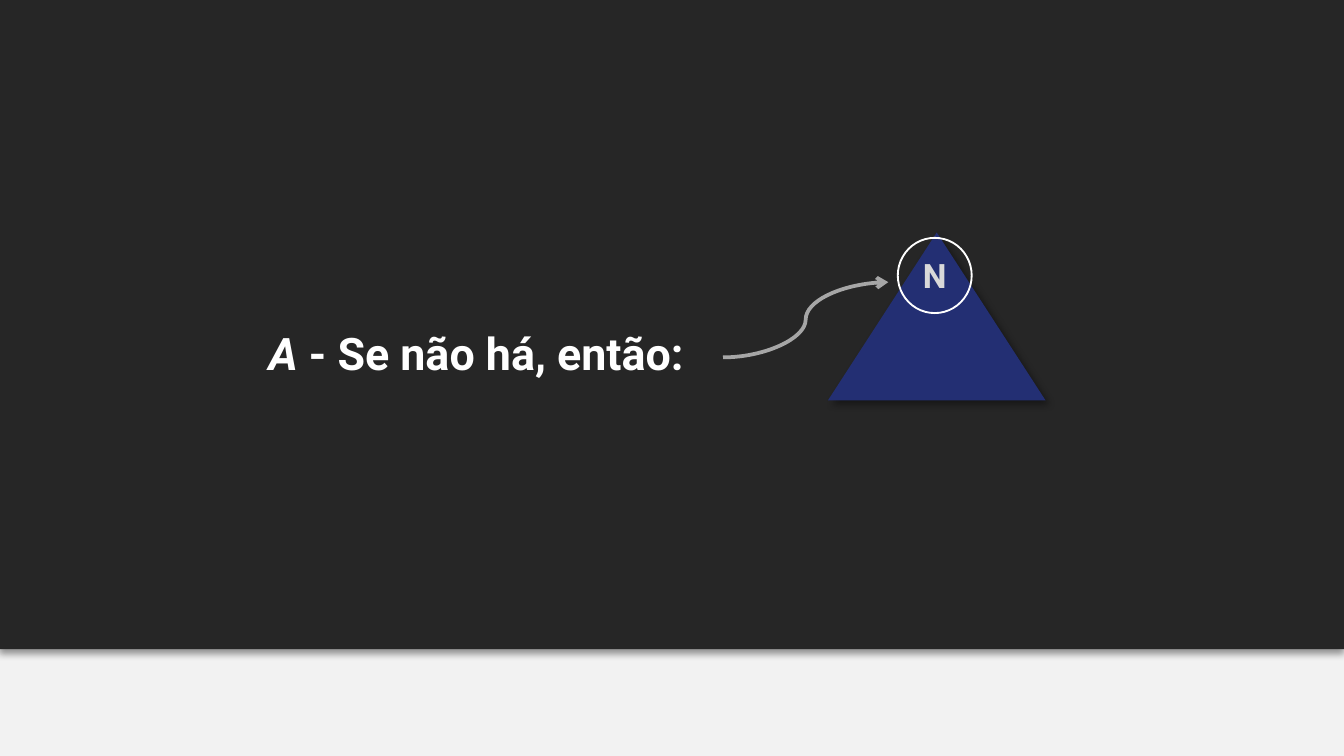
from dataclasses import dataclass

from lxml import etree
from pptx import Presentation
from pptx.dml.color import RGBColor
from pptx.enum.shapes import MSO_CONNECTOR, MSO_SHAPE
from pptx.enum.text import MSO_ANCHOR, PP_ALIGN
from pptx.oxml.ns import qn
from pptx.util import Inches, Pt

RECTANGLE = MSO_SHAPE.RECTANGLE
TRIANGLE = MSO_SHAPE.ISOSCELES_TRIANGLE
OVAL = MSO_SHAPE.OVAL
CURVE = MSO_CONNECTOR.CURVE
MIDDLE = MSO_ANCHOR.MIDDLE
CENTER = PP_ALIGN.CENTER
BLANK_LAYOUT = 6


@dataclass(frozen=True)
class Theme:
    font: str = "Roboto"
    background: str = "F2F2F2"
    panel: str = "262626"
    triangle: str = "232F73"
    white: str = "FFFFFF"
    letter: str = "D9D9D9"
    arrow: str = "A6A6A6"
    shadow: str = "000000"
    statement_size: int = 24
    letter_size: int = 18


THEME = Theme()


def color(value):
    return RGBColor.from_string(value)


def add_shadow(shape, angle):
    """Give the shape a soft outer shadow cast towards angle, in degrees."""
    effects = shape._element.spPr.find(qn("a:effectLst"))
    shadow = etree.SubElement(
        effects, qn("a:outerShdw"), blurRad=str(Pt(4)), dist=str(Pt(3)),
        dir=str(angle * 60000), algn="t", rotWithShape="0")
    shade = etree.SubElement(shadow, qn("a:srgbClr"), val=THEME.shadow)
    etree.SubElement(shade, qn("a:alpha"), val="40000")


def add_filled_shape(slide, kind, left, top, width, height, fill, shadow_angle):
    shape = slide.shapes.add_shape(
        kind, Inches(left), Inches(top), Inches(width), Inches(height))
    shape.fill.solid()
    shape.fill.fore_color.rgb = color(fill)
    shape.line.fill.background()
    shape.shadow.inherit = False
    add_shadow(shape, shadow_angle)


def add_run(paragraph, text, size, text_color, italic=False):
    run = paragraph.add_run()
    run.text = text
    run.font.name = THEME.font
    run.font.size = Pt(size)
    run.font.bold = True
    run.font.italic = italic
    run.font.color.rgb = color(text_color)


def add_statement(slide, left, top, width, height, variable, text):
    """Add a line of text that opens with an italic variable."""
    box = slide.shapes.add_textbox(
        Inches(left), Inches(top), Inches(width), Inches(height))
    frame = box.text_frame
    frame.word_wrap = True
    frame.vertical_anchor = MIDDLE
    frame.margin_left = frame.margin_right = Inches(0.1)
    frame.margin_top = frame.margin_bottom = Inches(0.1)
    paragraph = frame.paragraphs[0]
    add_run(paragraph, variable, THEME.statement_size, THEME.white, italic=True)
    add_run(paragraph, text, THEME.statement_size, THEME.white)


def add_letter_ring(slide, left, top, width, height, letter):
    ring = slide.shapes.add_shape(
        OVAL, Inches(left), Inches(top), Inches(width), Inches(height))
    ring.fill.background()
    ring.line.color.rgb = color(THEME.white)
    ring.line.width = Pt(1)
    ring.shadow.inherit = False
    frame = ring.text_frame
    frame.vertical_anchor = MIDDLE
    paragraph = frame.paragraphs[0]
    paragraph.alignment = CENTER
    add_run(paragraph, letter, THEME.letter_size, THEME.letter)


def add_curved_arrow(slide, start_x, start_y, end_x, end_y):
    arrow = slide.shapes.add_connector(
        CURVE, Inches(start_x), Inches(start_y), Inches(end_x), Inches(end_y))
    arrow.line.color.rgb = color(THEME.arrow)
    arrow.line.width = Pt(2)
    etree.SubElement(arrow.line._get_or_add_ln(), qn("a:tailEnd"), type="arrow")
    etree.SubElement(arrow._element.spPr, qn("a:effectLst"))


def main():
    presentation = Presentation()
    presentation.slide_width = Inches(10)
    presentation.slide_height = Inches(10 * 9 / 16)
    slide = presentation.slides.add_slide(presentation.slide_layouts[BLANK_LAYOUT])
    slide.background.fill.solid()
    slide.background.fill.fore_color.rgb = color(THEME.background)

    add_filled_shape(slide, RECTANGLE, 0, 0, 10, 4.83, THEME.panel, 90)
    add_statement(slide, 1.9, 2.27, 3.39, 0.71, "A", " - Se não há, então:")
    add_filled_shape(slide, TRIANGLE, 6.16, 1.73, 1.62, 1.25, THEME.triangle, 45)
    add_letter_ring(slide, 6.68, 1.77, 0.55, 0.56, "N")
    add_curved_arrow(slide, 5.38, 2.66, 6.61, 2.1)

    presentation.save("out.pptx")


if __name__ == "__main__":
    main()
